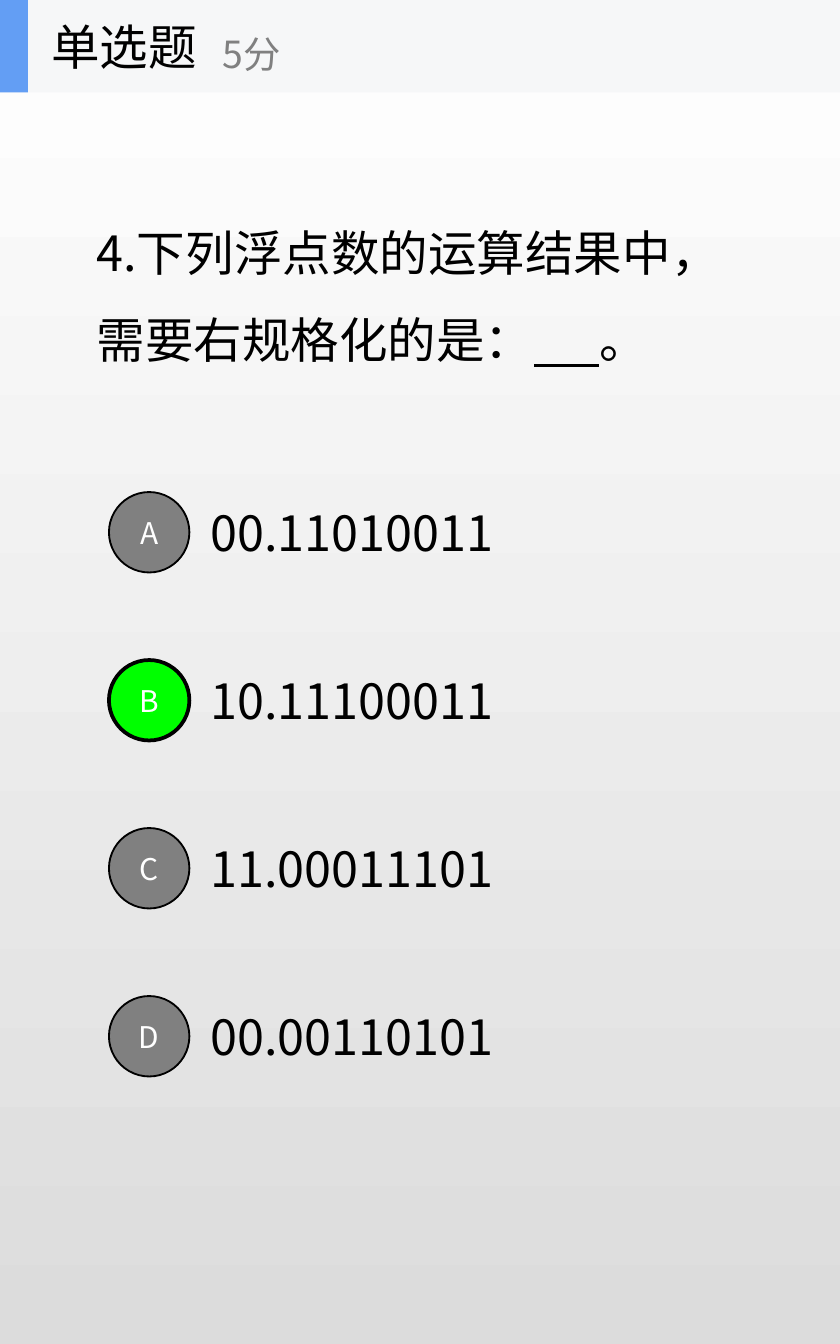
from dataclasses import dataclass

from lxml import etree
from pptx import Presentation
from pptx.dml.color import RGBColor
from pptx.enum import shapes, text
from pptx.oxml.ns import qn
from pptx.util import Cm, Pt

HEAD = "单选题"
MARK = "5分"
STEM = ("4.下列浮点数的运算结果中，需要右规格化的是：", " " * 6, "。")
BLANK = 1
OPTIONS = [
    ("A", "00.11010011"),
    ("B", "10.11100011"),
    ("C", "11.00011101"),
    ("D", "00.00110101"),
]
ANSWER = "B"

HIGH = 25.4
WIDE = HIGH * 5 / 8
PITCH = HIGH / 8
BAND = 1.75


@dataclass(frozen=True)
class Theme:
    """Colours, font and type sizes."""
    font: str = "Noto Sans CJK SC"
    ink: str = "000000"
    grey: str = "808080"
    white: str = "FFFFFF"
    shade: str = "DCDCDC"
    right: str = "00FF00"
    band: str = "F6F7F8"
    accent: str = "639EF4"
    large: int = 26
    medium: int = 20
    small: int = 16


THEME = Theme()


def rgb(code):
    """Turn a hex code into a colour."""
    return RGBColor.from_string(code)


def place(shape, box):
    """Move and size a shape, in centimetres."""
    shape.left, shape.top, shape.width, shape.height = map(Cm, box)


def style(shape, size=THEME.large, color=THEME.ink, align=text.PP_ALIGN.LEFT):
    """Format all the text of a shape."""
    frame = shape.text_frame
    frame.word_wrap = True
    frame.auto_size = text.MSO_AUTO_SIZE.NONE
    frame.vertical_anchor = text.MSO_ANCHOR.MIDDLE
    for para in frame.paragraphs:
        para.alignment = align
        for run in para.runs:
            font = run.font
            font.size, font.name = Pt(size), THEME.font
            font.color.rgb = rgb(color)
            east = etree.SubElement(font._element, qn("a:ea"))
            east.set("typeface", THEME.font)


def label(home, words, box, **look):
    """Add a line of text."""
    item = home.add_textbox(*map(Cm, box))
    item.text_frame.text = words
    style(item, **look)


def solid(home, kind, box, fill, line=0):
    """Add a filled shape, outlined if line is above zero."""
    item = home.add_shape(kind, *map(Cm, box))
    item.shadow.inherit = False
    item.fill.solid()
    item.fill.fore_color.rgb = rgb(fill)
    if line:
        item.line.color.rgb = rgb(THEME.ink)
        item.line.width = Pt(line)
    else:
        item.line.fill.background()
    return item


def backdrop(slide):
    """Shade the page from top to bottom."""
    fill = slide.background.fill
    fill.gradient()
    fill.gradient_angle = 270
    for stop, code, spot in zip(fill.gradient_stops, (THEME.white, THEME.shade), (0, 1)):
        stop.color.rgb = rgb(code)
        stop.position = spot


def question(body):
    """Write the question with its underlined blank."""
    place(body, (1.57, BAND, 12.7, 7.11))
    para = body.text_frame.paragraphs[0]
    for index, words in enumerate(STEM):
        run = para.add_run()
        run.text = words
        run.font.underline = index == BLANK
    para.line_spacing = 1.5
    para.space_before = Pt(0)
    style(body)
    props = para._p.get_or_add_pPr()
    props.set("marL", "0")
    props.set("indent", "0")
    etree.SubElement(props, qn("a:buNone"))


def choices(home):
    """Add the options and their lettered buttons."""
    for row, (_, words) in enumerate(OPTIONS):
        label(home, words, (3.73, 8.86 + row * PITCH, 11.13, 2.38))
    for row, (letter, _) in enumerate(OPTIONS):
        hit = letter == ANSWER
        button = solid(home, shapes.MSO_SHAPE.OVAL,
                       (2.06, 9.3 + row * PITCH, 1.52, 1.52),
                       THEME.right if hit else THEME.grey, 2 if hit else 1)
        button.text_frame.text = letter
        style(button, THEME.small, THEME.white, text.PP_ALIGN.CENTER)


def header(home, title):
    """Add the top band, the heading and the marks."""
    group = home.add_group_shape().shapes
    for wide, fill in ((WIDE, THEME.band), (0.53, THEME.accent)):
        solid(group, shapes.MSO_SHAPE.RECTANGLE, (0, 0, wide, BAND), fill)
    label(group, MARK, (3.96, 0.3, 6.35, 1.42), size=THEME.medium, color=THEME.grey)
    title.text_frame.text = HEAD
    place(title, (0.71, 0, 5.28, BAND))
    style(title)
    home._spTree.append(title._element)


def main():
    """Build and save the slide."""
    deck = Presentation()
    deck.slide_width, deck.slide_height = Cm(WIDE), Cm(HIGH)
    slide = deck.slides.add_slide(deck.slide_layouts[1])
    backdrop(slide)
    question(slide.placeholders[1])
    choices(slide.shapes)
    header(slide.shapes, slide.shapes.title)
    deck.save("out.pptx")


main()
